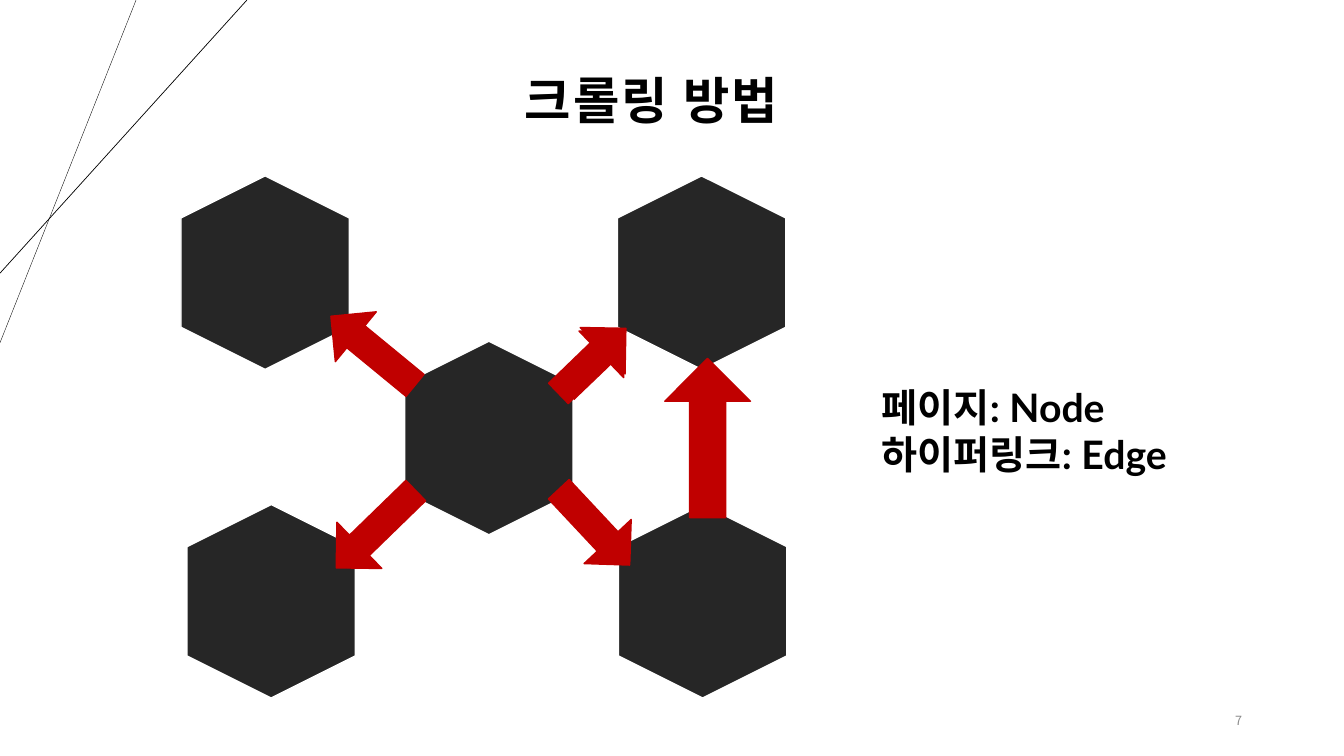
"""Build the slide that shows crawling as a graph of pages and hyperlinks."""
from lxml.etree import SubElement
from pptx import Presentation
from pptx.dml.color import RGBColor
from pptx.enum.shapes import MSO_CONNECTOR as Connector, MSO_SHAPE as Shape
from pptx.enum.text import MSO_ANCHOR as Anchor, PP_ALIGN as Align
from pptx.oxml.ns import qn
from pptx.util import Inches, Pt

BLACK = RGBColor(0x00, 0x00, 0x00)
WHITE = RGBColor(0xFF, 0xFF, 0xFF)
CHARCOAL = RGBColor(0x26, 0x26, 0x26)
RED = RGBColor(0xC0, 0x00, 0x00)
GREY = RGBColor(0x8C, 0x8C, 0x8C)

KOREAN_FONT = "Noto Sans CJK KR"
LATIN_FONT = "Lato"
COLUMNS, ROWS = 133.33, 75
CELL = Inches(0.1)

NODE_CENTRES = [(69.6, 27.05), (26.3, 27.05), (48.5, 43.45), (69.7, 59.65), (26.9, 59.65)]
BACK_EDGE = (58.25, 36.5, 10.3, 6.4, 316.2, 0.42)
EDGES = [
    (37, 34.8, 10.8, 6.4, 219.4, 0.44),
    (58.95, 52.3, 10.3, 6.4, 46.9, 0.44),
    (37.3, 52.5, 11, 6.4, 135.8, 0.44),
    (70.2, 43.45, 15.8, 8.5, 270, 0.42),
]
FRONT_EDGE = (58.75, 35.8, 9.3, 6.4, 316, 0.44)


def cells(*counts):
    return [round(count * CELL) for count in counts]


class GraphSlide:
    def __init__(self, deck):
        self.page = deck.slides.add_slide(deck.slide_layouts[6])
        self.page.background.fill.solid()
        self.page.background.fill.fore_color.rgb = WHITE

    def line(self, start, end, weight):
        line = self.page.shapes.add_connector(Connector.STRAIGHT, *cells(*start, *end))
        line.line.color.rgb = BLACK
        line.line.width = Pt(weight)
        SubElement(line._element.spPr, qn("a:effectLst"))

    def shape(self, kind, centre, size, turn, adjustment, fill, outline):
        (x, y), (width, height) = centre, size
        area = cells(x - width / 2, y - height / 2, width, height)
        shape = self.page.shapes.add_shape(kind, *area)
        shape.rotation = turn
        shape.adjustments[0] = adjustment
        shape.shadow.inherit = False
        shape.fill.solid()
        shape.fill.fore_color.rgb = fill
        shape.line.color.rgb = outline
        shape.line.width = Pt(1)

    def node(self, centre):
        self.shape(Shape.HEXAGON, centre, (19.2, 16.7), 90, 0.25, CHARCOAL, WHITE)

    def edge(self, x, y, length, breadth, turn, shaft):
        self.shape(Shape.RIGHT_ARROW, (x, y), (length, breadth), turn, shaft, RED, RED)

    def text(self, text, area, size, font=KOREAN_FONT, color=BLACK, bold=False,
             align=Align.LEFT, anchor=Anchor.TOP, line_spacing=None,
             space_after=None, tracking=None):
        frame = self.page.shapes.add_textbox(*cells(*area)).text_frame
        frame.word_wrap = True
        frame.vertical_anchor = anchor
        for index, content in enumerate(text.split("\n")):
            para = frame.add_paragraph() if index else frame.paragraphs[0]
            para.alignment = align
            para.line_spacing = line_spacing
            if space_after:
                para.space_after = Pt(space_after)
            span = para.add_run()
            span.text = content
            span.font.size = Pt(size)
            span.font.name = font
            span.font.bold = bold
            span.font.color.rgb = color
            properties = span._r.get_or_add_rPr()
            SubElement(properties, qn("a:ea"), typeface=KOREAN_FONT)
            if tracking:
                properties.set("spc", str(round(tracking * 100)))


def main():
    deck = Presentation()
    deck.slide_width, deck.slide_height = cells(COLUMNS, ROWS)
    slide = GraphSlide(deck)

    slide.line((13.5, 0), (0, 34), 0.25)
    slide.line((24.5, 0), (0, 27.1), 0.5)
    slide.edge(*BACK_EDGE)
    slide.text("크롤링 방법", (45.2, 3, 38.9, 14.5), 36, bold=True, align=Align.CENTER,
               anchor=Anchor.MIDDLE, line_spacing=0.9, tracking=1.5)
    slide.text("7", (94.2, 69.5, 30, 4), 9, color=GREY, align=Align.RIGHT,
               anchor=Anchor.MIDDLE, space_after=6)
    for centre in NODE_CENTRES:
        slide.node(centre)
    for edge in EDGES:
        slide.edge(*edge)
    slide.text("페이지: Node\n하이퍼링크: Edge", (86.5, 37.5, 40.8, 10.4), 28,
               font=LATIN_FONT, bold=True)
    slide.edge(*FRONT_EDGE)
    deck.save("out.pptx")


if __name__ == "__main__":
    main()
